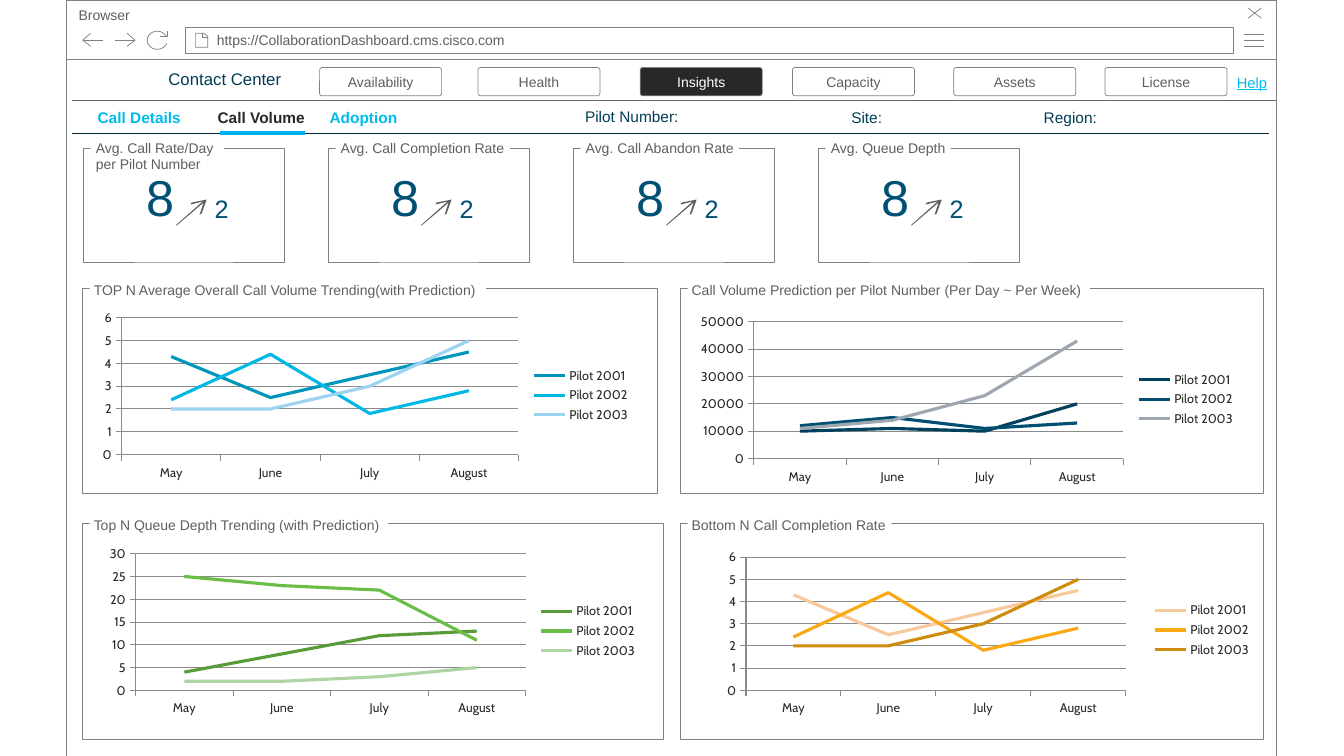
from math import cos, radians, sin

from lxml import etree
from pptx import Presentation
from pptx.chart.data import CategoryChartData
from pptx.dml.color import RGBColor
from pptx.enum.chart import XL_CHART_TYPE as ChartType, XL_LEGEND_POSITION as LegendPosition
from pptx.enum.shapes import MSO_CONNECTOR as Connector, MSO_SHAPE as Shape
from pptx.enum.text import MSO_ANCHOR as Anchor, MSO_AUTO_SIZE as AutoSize, PP_ALIGN as Align
from pptx.oxml.ns import qn
from pptx.util import Inches, Pt

WHITE = RGBColor(0xFF, 0xFF, 0xFF)
BLACK = RGBColor(0x28, 0x28, 0x28)
GRAY = RGBColor(0x5F, 0x5F, 0x5F)
BORDER = RGBColor(0x80, 0x80, 0x80)
RULE = RGBColor(0x67, 0x67, 0x67)
GRID = RGBColor(0x8B, 0x8B, 0x8B)
NAVY = RGBColor(0x00, 0x3C, 0x56)
DEEP_NAVY = RGBColor(0x00, 0x28, 0x3A)
TEAL = RGBColor(0x00, 0x50, 0x73)
CYAN = RGBColor(0x00, 0xBC, 0xEB)
TAB_MARK = RGBColor(0x00, 0xB0, 0xF0)
BLUES = [RGBColor(0x00, 0x96, 0xBC), RGBColor(0x00, 0xB7, 0xE5), RGBColor(0x9B, 0xD3, 0xF0)]
NAVIES = [RGBColor(0x00, 0x41, 0x5D), RGBColor(0x00, 0x4E, 0x70), RGBColor(0x9E, 0xA7, 0xB1)]
GREENS = [RGBColor(0x58, 0x9C, 0x3A), RGBColor(0x6A, 0xBD, 0x46), RGBColor(0xAF, 0xD4, 0xA4)]
ORANGES = [RGBColor(0xF9, 0xC9, 0x9C), RGBColor(0xFB, 0xA9, 0x12), RGBColor(0xD0, 0x8C, 0x0F)]

MONTHS = ["May", "June", "July", "August"]
PILOTS = ["Pilot 2001", "Pilot 2002", "Pilot 2003"]
RATES = [(4.3, 2.5, 3.5, 4.5), (2.4, 4.4, 1.8, 2.8), (2, 2, 3, 5)]
PREDICTIONS = [(10000, 11000, 10000, 20000), (12000, 15000, 11000, 13000),
               (11000, 14000, 23000, 43000)]
QUEUES = [(4, 8, 12, 13), (25, 23, 22, 11), (2, 2, 3, 5)]

BUTTONS = [("Availability", 3.17), ("Health", 4.74), ("Insights", 6.35),
           ("Capacity", 7.86), ("Assets", 9.46), ("License", 10.96)]
LABELS = [  # text, left, top, width, size, colour, bold
    ("Help", 12.17, 0.68, 0.63, 10.5, CYAN, False),
    ("Call Details", 0.87, 1.02, 1.17, 11, CYAN, True),
    ("Call Volume", 2.06, 1.02, 1.08, 11, BLACK, True),
    ("Adoption", 3.17, 1.02, 0.95, 11, CYAN, True),
]
FILTERS = [("Pilot Number:", 5.63, 1.01, 1.2, 0.1), ("Site:", 8.31, 1.02, 0.44, 0),
           ("Region:", 10.19, 1.02, 0.69, 0)]
CARDS = [("Avg. Call Rate/Day \vper Pilot Number", 1.32, 0.36),
         ("Avg. Call Completion Rate", 1.73, 0.19),
         ("Avg. Call Abandon Rate", 1.57, 0.19),
         ("Avg. Queue Depth", 1.24, 0.19)]
PANELS = [  # caption, caption width, panel box, chart box, values, colours
    ("TOP N Average Overall Call Volume Trending(with Prediction)", 3.93,
     (0.82, 2.86, 5.7, 2.04), (0.91, 3.04, 5.44, 1.76), RATES, BLUES),
    ("Call Volume Prediction per Pilot Number (Per Day ~ Per Week)", 3.99,
     (6.75, 2.86, 5.78, 2.04), (6.84, 3.08, 5.51, 1.76), PREDICTIONS, NAVIES),
    ("Top N Queue Depth Trending (with Prediction)", 2.96,
     (0.82, 5.19, 5.76, 2.15), (0.98, 5.38, 5.44, 1.76), QUEUES, GREENS),
    ("Bottom N Call Completion Rate", 2.02,
     (6.75, 5.19, 5.78, 2.15), (7.13, 5.37, 5.38, 1.76), RATES, ORANGES),
]
BOTTOM_PLOT = {"x": 0.05, "y": 0.09, "w": 0.7, "h": 0.75}

ICONS = [  # strokes of each icon
    [[(12.34, y), (12.54, y)] for y in (0.34, 0.4, 0.46)],
    [[(12.51, 0.08), (12.38, 0.18)], [(12.38, 0.08), (12.51, 0.18)]],
    [[(2.01, 0.33), (2.01, 0.37), (2.06, 0.37)],
     [(1.94, 0.33), (1.94, 0.47), (2.06, 0.47), (2.06, 0.36), (2.02, 0.33), (1.94, 0.33)]],
    [[(0.9, 0.46), (0.82, 0.4), (0.9, 0.33)], [(0.83, 0.4), (1.02, 0.4)]],
    [[(1.26, 0.33), (1.34, 0.4), (1.26, 0.46)], [(1.33, 0.4), (1.14, 0.4)]],
    [[(1.66, 0.31), (1.66, 0.36), (1.59, 0.36)],
     [(1.56 + 0.1 * cos(radians(a)), 0.4 + 0.09 * sin(radians(a))) for a in range(20, 336, 15)]],
]
TREND_ARROW = [(0.92, 0.77), (1.19, 0.54), (1.15, 0.66), (1.17, 0.65), (1.22, 0.51),
               (1.07, 0.54), (1.06, 0.56), (1.18, 0.53), (0.92, 0.76), (0.92, 0.77)]


def set_text(shape, text, size, color, bold=False, align=Align.LEFT, anchor=Anchor.TOP,
             margins=(0.1, 0.05, 0.1, 0.05), wrap=True):
    frame = shape.text_frame
    frame.text = text
    frame.word_wrap = wrap
    frame.auto_size = AutoSize.NONE
    frame.vertical_anchor = anchor
    (frame.margin_left, frame.margin_top,
     frame.margin_right, frame.margin_bottom) = map(Inches, margins)
    paragraph = frame.paragraphs[0]
    paragraph.alignment = align
    for run in paragraph.runs:
        run.font.name, run.font.size, run.font.bold = "Arial", Pt(size), bold
        run.font.color.rgb = color


def set_look(shape, fill=None, line=BORDER, width=0.5):
    shape.shadow.inherit = False
    if fill is None:
        shape.fill.background()
    else:
        shape.fill.solid()
        shape.fill.fore_color.rgb = fill
    if line is None:
        shape.line.fill.background()
    else:
        shape.line.color.rgb = line
        shape.line.width = Pt(width)


def add_box(slide, box, fill=None, line=BORDER, preset=Shape.RECTANGLE):
    shape = slide.shapes.add_shape(preset, *map(Inches, box))
    set_look(shape, fill, line)
    return shape


def add_label(slide, text, box, size, color, **options):
    shape = slide.shapes.add_textbox(*map(Inches, box))
    set_text(shape, text, size, color, **options)
    return shape


def add_outline(slide, strokes, **look):
    """Draw one freeform from lists of points in inches."""
    strokes = [[(Inches(x), Inches(y)) for x, y in stroke] for stroke in strokes]
    builder = slide.shapes.build_freeform(*strokes[0][0])
    for index, (start, *points) in enumerate(strokes):
        if index:
            builder.move_to(*start)
        builder.add_line_segments(points, close=False)
    set_look(builder.convert_to_shape(), **look)


def add_rule(slide, left, right, top, color, width):
    rule = slide.shapes.add_connector(Connector.STRAIGHT, Inches(left), Inches(top),
                                      Inches(right), Inches(top))
    rule.line.color.rgb = color
    rule.line.width = Pt(width)
    etree.SubElement(rule._element.spPr, qn("a:effectLst"))


def add_framed_caption(slide, frame_box, caption, caption_box, inset):
    """Draw a frame whose caption interrupts its top border."""
    add_box(slide, frame_box, WHITE)
    shape = add_box(slide, caption_box, WHITE, None)
    set_text(shape, caption, 10, GRAY, margins=(inset, 0.01, inset, 0.01), wrap=False)


def add_card(slide, left, caption, width, height):
    add_framed_caption(slide, (left, 1.47, 1.99, 1.13), caption,
                       (left + 0.07, 1.37, width, height), 0.05)
    add_label(slide, "8", (left + 0.52, 1.6, 0.59, 0.71), 36, TEAL)
    add_label(slide, "2", (left + 1.2, 1.87, 0.29, 0.4), 18, TEAL)
    add_outline(slide, [[(left + x, 1.47 + y) for x, y in TREND_ARROW]], fill=GRAY, line=None)


def add_line_chart(slide, box, values, colors):
    data = CategoryChartData()
    data.categories = MONTHS
    for pilot, numbers in zip(PILOTS, values):
        data.add_series(pilot, numbers)
    chart = slide.shapes.add_chart(ChartType.LINE, *map(Inches, box), data).chart
    chart.has_title = False
    chart.font.name, chart.font.size = "Cabin", Pt(9)
    chart.font.color.rgb = BLACK
    chart.has_legend = True
    chart.legend.position = LegendPosition.RIGHT
    chart.legend.include_in_layout = False
    chart.value_axis.has_major_gridlines = True
    for part in (chart.category_axis, chart.value_axis, chart.value_axis.major_gridlines):
        part.format.line.color.rgb = GRID
        part.format.line.width = Pt(0.75)
    plot = chart.plots[0]
    plot.vary_by_categories = False
    for series, color in zip(plot.series, colors):
        series.smooth = False
        series.format.line.color.rgb = color
        series.format.line.width = Pt(2.25)
    return chart


def set_plot_area(chart, fractions):
    plot_area = chart._chartSpace.chart.plotArea
    for old in plot_area.findall(qn("c:layout")):
        plot_area.remove(old)
    layout = etree.Element(qn("c:layout"))
    manual = etree.SubElement(layout, qn("c:manualLayout"))
    settings = {"layoutTarget": "inner", "xMode": "edge", "yMode": "edge", **fractions}
    for name, value in settings.items():
        etree.SubElement(manual, qn(f"c:{name}")).set("val", str(value))
    plot_area.insert(0, layout)


def add_browser(slide):
    window = add_box(slide, (0.66, 0, 12, 0.59))
    set_text(window, "Browser", 10, GRAY, margins=(0.12, 0.06, 0.3, 0.06))
    add_box(slide, (0.66, 0.59, 12, 6.91))
    address = add_box(slide, (1.84, 0.27, 10.39, 0.26))
    set_text(address, "https://CollaborationDashboard.cms.cisco.com", 10, GRAY,
             anchor=Anchor.MIDDLE, margins=(0.31, 0.06, 0.12, 0.06))
    for strokes in ICONS:
        add_outline(slide, strokes)


def add_navigation(slide):
    title = slide.shapes.title
    title.left, title.top, title.width, title.height = map(Inches, (1.57, 0.63, 1.48, 0.3))
    set_text(title, "Contact Center", 12, NAVY)
    for text, left in BUTTONS:
        active = text == "Insights"
        button = add_box(slide, (left, 0.67, 1.21, 0.28), BLACK if active else WHITE,
                         preset=Shape.ROUNDED_RECTANGLE)
        button.adjustments[0] = 0.09
        set_text(button, text, 10, WHITE if active else GRAY, align=Align.CENTER,
                 anchor=Anchor.MIDDLE)
    add_rule(slide, 0.71, 12.66, 1, RULE, 0.75)
    add_rule(slide, 0.71, 12.59, 1.32, DEEP_NAVY, 0.75)
    add_rule(slide, 2.18, 3.03, 1.32, TAB_MARK, 2.25)
    for text, left, top, width, size, color, bold in LABELS:
        label = add_label(slide, text, (left, top, width, 0.29), size, color, bold=bold)
        label.text_frame.paragraphs[0].runs[0].font.underline = text == "Help"
    for text, left, top, width, right_margin in FILTERS:
        add_label(slide, text, (left, top, width, 0.29), 11, NAVY, align=Align.RIGHT,
                  margins=(0.1, 0.05, right_margin, 0.05))


def main():
    presentation = Presentation()
    presentation.slide_width, presentation.slide_height = Inches(13.33), Inches(7.5)
    slide = presentation.slides.add_slide(presentation.slide_layouts[5])
    add_browser(slide)
    add_navigation(slide)
    for index, card in enumerate(CARDS):
        add_card(slide, 0.83 + 2.43 * index, *card)
    for caption, width, box, chart_box, values, colors in PANELS:
        left, top = box[:2]
        add_framed_caption(slide, box, caption, (left + 0.07, top - 0.08, width, 0.19), 0.04)
        chart = add_line_chart(slide, chart_box, values, colors)
    set_plot_area(chart, BOTTOM_PLOT)
    presentation.save("out.pptx")


if __name__ == "__main__":
    main()
